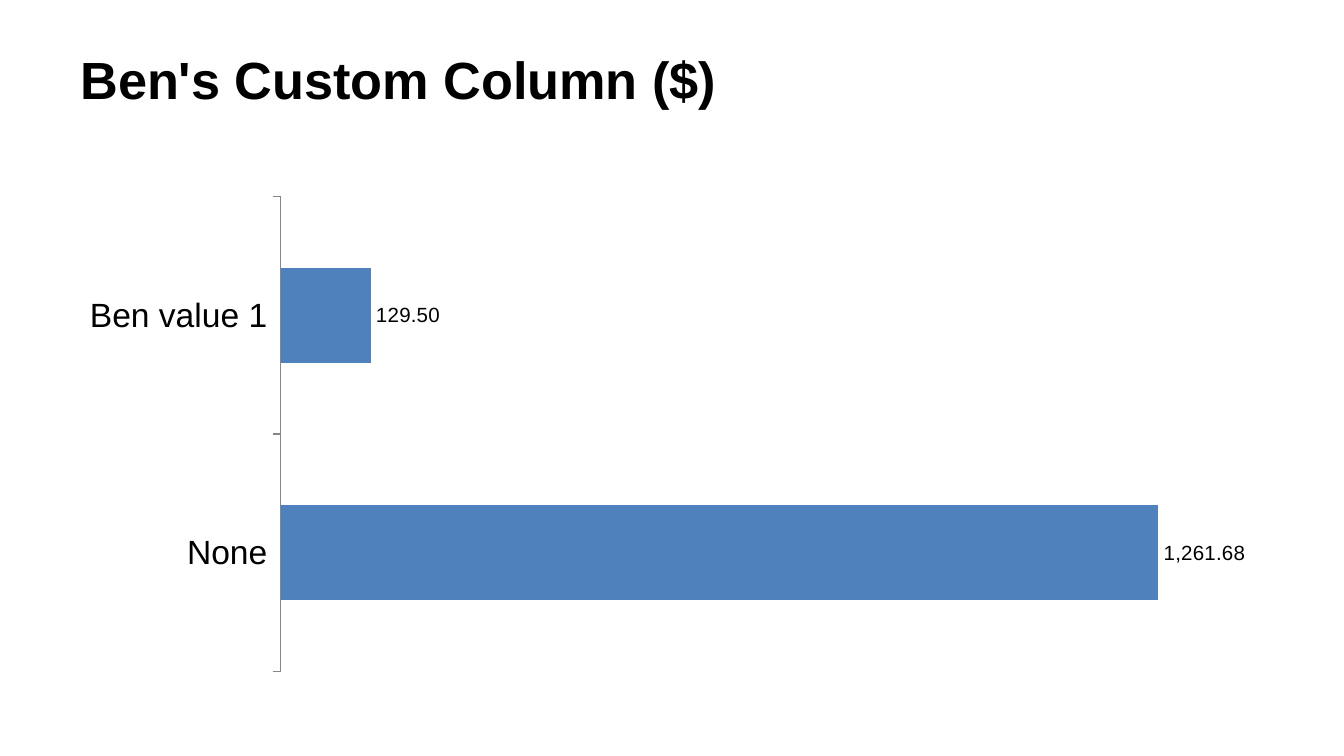
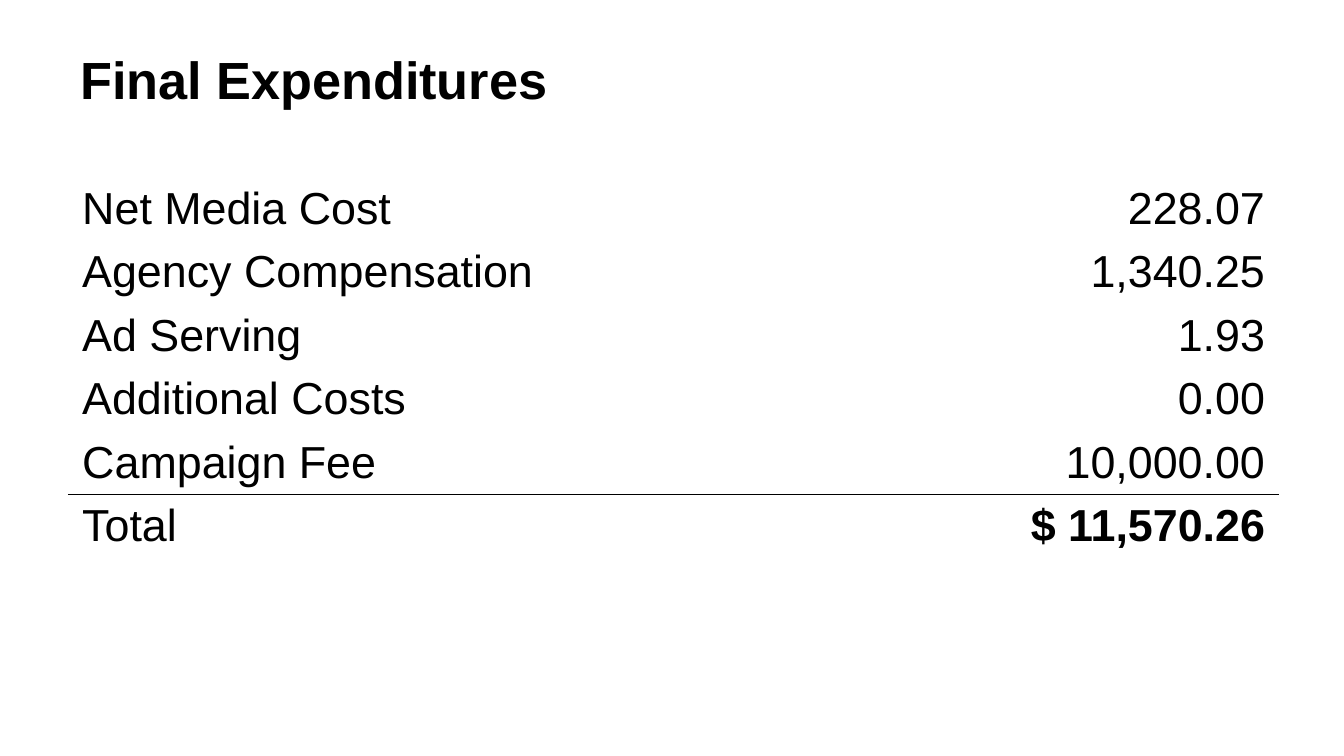
from lxml import etree
from pptx import Presentation
from pptx.chart.data import CategoryChartData
from pptx.dml.color import RGBColor
from pptx.enum.chart import XL_CHART_TYPE, XL_LABEL_POSITION, XL_TICK_MARK
from pptx.enum.text import MSO_ANCHOR, PP_ALIGN
from pptx.oxml.ns import qn
from pptx.util import Cm, Pt

BAR_CLUSTERED = XL_CHART_TYPE.BAR_CLUSTERED
OUTSIDE_END = XL_LABEL_POSITION.OUTSIDE_END
TICK_OUTSIDE, TICK_NONE = XL_TICK_MARK.OUTSIDE, XL_TICK_MARK.NONE
TOP = MSO_ANCHOR.TOP
LEFT, RIGHT = PP_ALIGN.LEFT, PP_ALIGN.RIGHT

FONT = "Arial"
COLORS = {"text": "000000", "background": "FFFFFF", "bar": "4F81BD"}
# Boxes in cm: left, top, width, height
TITLE_BOX = (1.27, 0.76, 22.86, 1.57)
CHART_BOX = (1.24, 3.53, 22.93, 9.35)
TABLE_BOX = (1.3, 3.35, 22.86, 6.24)

COLUMN_COSTS = {"Ben value 1": 129.5, "None": 1261.68}
EXPENDITURES = [
    ("Net Media Cost", "228.07"),
    ("Agency Compensation", "1,340.25"),
    ("Ad Serving", "1.93"),
    ("Additional Costs", "0.00"),
    ("Campaign Fee", "10,000.00"),
    ("Total", "$ 11,570.26"),
]


def color(name):
    return RGBColor.from_string(COLORS[name])


def style_font(font, size, bold=False):
    font.name, font.size, font.bold = FONT, Pt(size), bold
    font.color.rgb = color("text")


def add_run(paragraph, text, size, bold=False, alignment=LEFT):
    paragraph.alignment = alignment
    run = paragraph.add_run()
    run.text = text
    style_font(run.font, size, bold)


def add_titled_slide(presentation, title):
    slide = presentation.slides.add_slide(presentation.slide_layouts[6])
    slide.background.fill.solid()
    slide.background.fill.fore_color.rgb = color("background")
    frame = slide.shapes.add_textbox(*map(Cm, TITLE_BOX)).text_frame
    frame.word_wrap = True
    frame.vertical_anchor = TOP
    add_run(frame.paragraphs[0], title, 28, bold=True)
    return slide


def add_bar_chart(slide, box, values):
    data = CategoryChartData(number_format="#,##0.00")
    data.categories = list(values)
    data.add_series("Series 1", list(values.values()))
    chart = slide.shapes.add_chart(BAR_CLUSTERED, *map(Cm, box), data).chart
    chart.has_legend = chart.has_title = False
    style_font(chart.font, 18)

    # Axes: categories run from the top, values are hidden
    category_axis, value_axis = chart.category_axis, chart.value_axis
    category_axis.reverse_order = True
    category_axis.major_tick_mark = TICK_OUTSIDE
    category_axis.minor_tick_mark = TICK_NONE
    value_axis.has_major_gridlines = False
    value_axis.visible = False

    # Bars and their labels
    plot = chart.plots[0]
    plot.gap_width = 150
    plot.vary_by_categories = False
    fill = plot.series[0].format.fill
    fill.solid()
    fill.fore_color.rgb = color("bar")
    labels = plot.series[0].data_labels
    labels.show_value = True
    labels.number_format, labels.number_format_is_linked = "#,##0.00", False
    labels.position = OUTSIDE_END
    style_font(labels.font, 11)


def add_border(cell, side):
    line = etree.Element(qn(f"a:{side}"), w=str(Pt(1)))
    fill = etree.SubElement(line, qn("a:solidFill"))
    etree.SubElement(fill, qn("a:srgbClr"), val=COLORS["text"])
    # Borders come before the fill in the cell properties
    cell._tc.get_or_add_tcPr().insert(0, line)


def add_cost_table(slide, box, rows):
    left, top, width, height = box
    table = slide.shapes.add_table(len(rows), 2, *map(Cm, box)).table
    table.first_row = table.horz_banding = False
    for column in table.columns:
        column.width = Cm(width / 2)
    total_row = len(rows) - 1
    for row_index, row in enumerate(rows):
        table.rows[row_index].height = Cm(height / len(rows))
        for column_index, text in enumerate(row):
            cell = table.cell(row_index, column_index)
            cell.fill.background()
            cell.margin_bottom = Cm(0.055)
            is_amount = column_index == 1
            add_run(cell.text_frame.paragraphs[0], text, 24,
                    bold=is_amount and row_index == total_row,
                    alignment=RIGHT if is_amount else LEFT)
            # Rule above the total
            if row_index == total_row - 1:
                add_border(cell, "lnB")
            elif row_index == total_row:
                add_border(cell, "lnT")


presentation = Presentation()
presentation.slide_width, presentation.slide_height = Cm(25.4), Cm(14.29)

chart_slide = add_titled_slide(presentation, "Ben's Custom Column ($)")
add_bar_chart(chart_slide, CHART_BOX, COLUMN_COSTS)

table_slide = add_titled_slide(presentation, "Final Expenditures")
add_cost_table(table_slide, TABLE_BOX, EXPENDITURES)

presentation.save("out.pptx")
